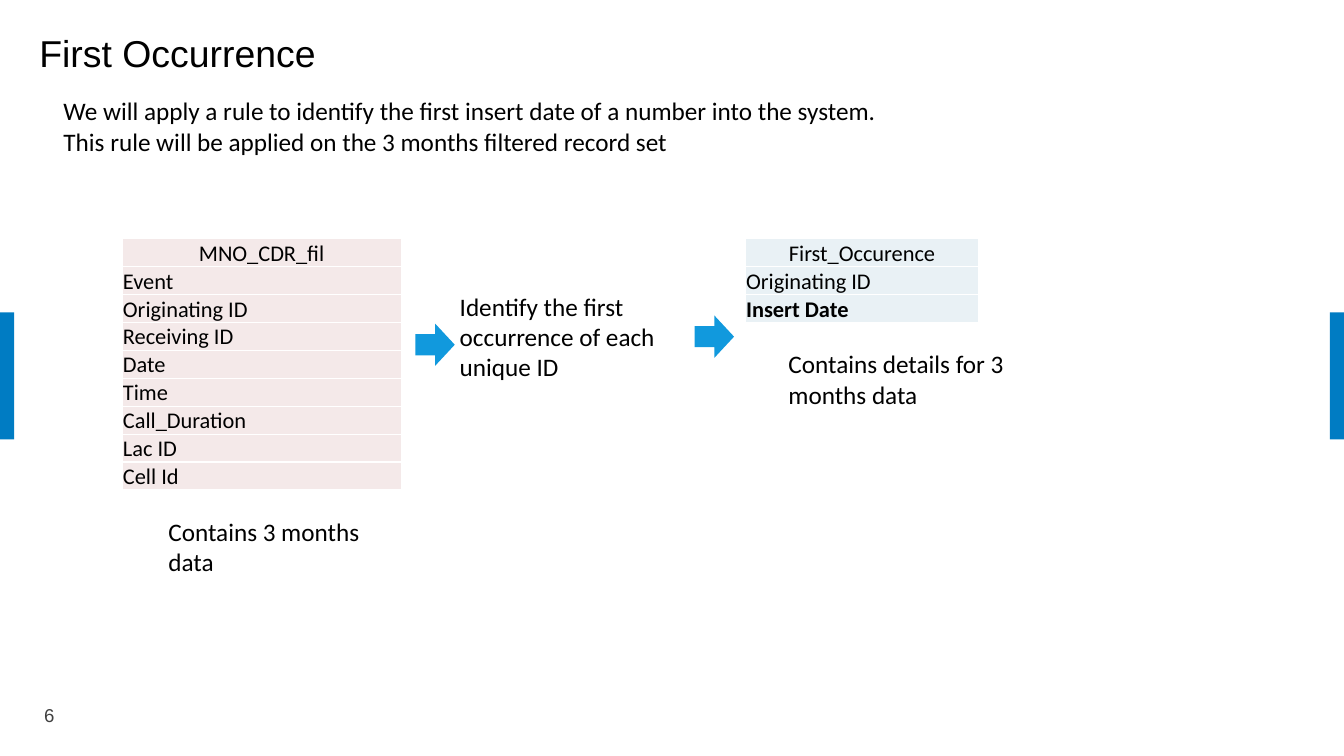
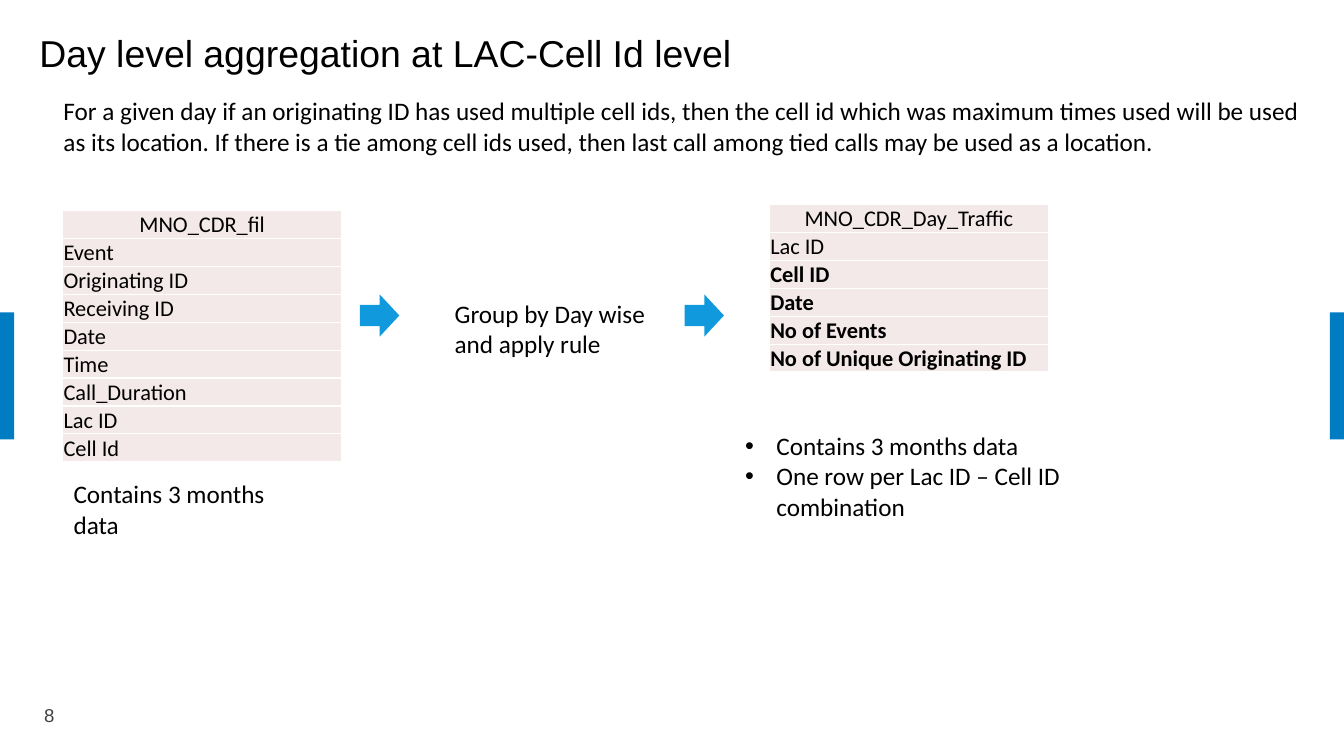
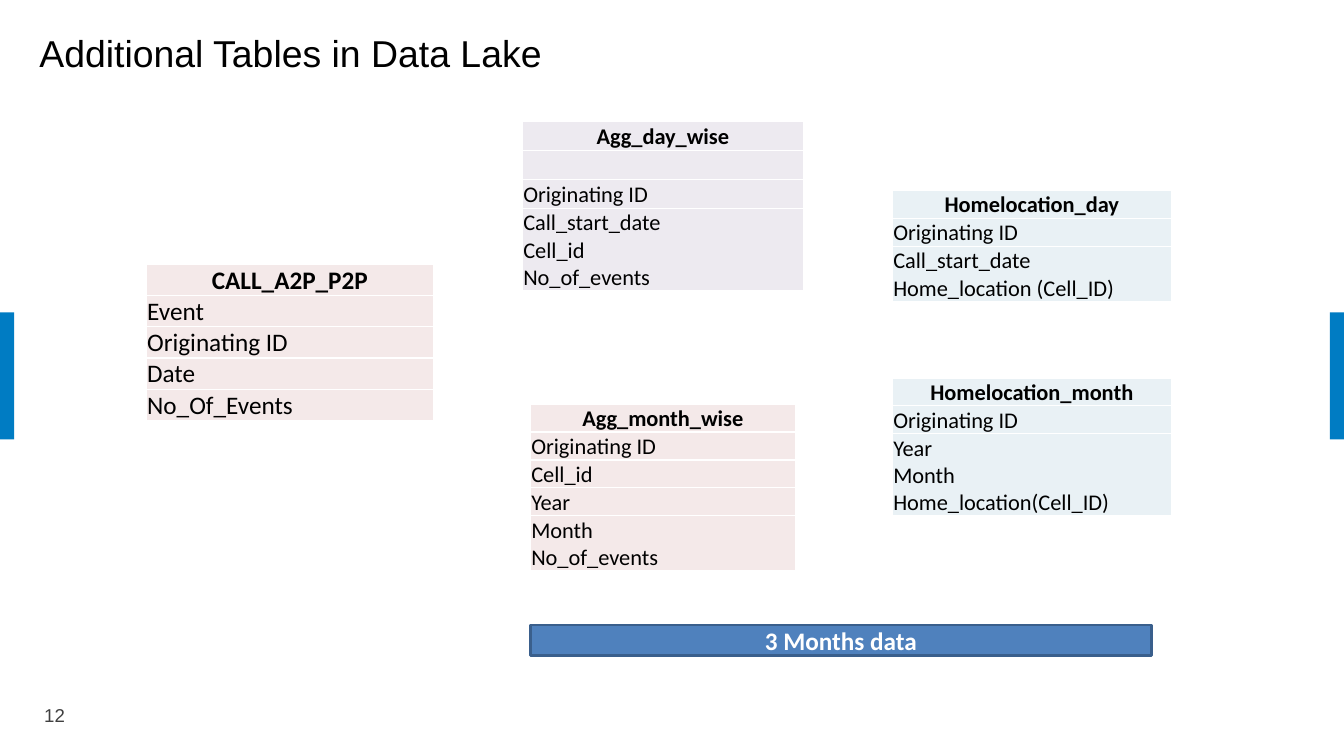
from dataclasses import dataclass
from lxml.etree import SubElement
from pptx import Presentation
from pptx.dml.color import RGBColor
from pptx.enum.shapes import MSO_SHAPE
from pptx.enum.text import MSO_ANCHOR, MSO_AUTO_SIZE, PP_ALIGN
from pptx.oxml import parse_xml
from pptx.oxml.ns import nsdecls, qn
from pptx.util import Inches, Pt


@dataclass(frozen=True)
class Theme:
    head: str = "Arial"
    body: str = "Calibri"
    black: str = "000000"
    white: str = "FFFFFF"
    gray: str = "404040"
    side: str = "007CC3"
    arrow: str = "1199DD"
    band: str = "4F81BD"
    edge: str = "3A5F8C"
    rose: str = "F4E9E9"
    mist: str = "E9F1F5"
    lilac: str = "EDEAF0"
    title: float = 26.7
    text: float = 18
    cell: float = 16
    page: float = 13.3
    line: float = 0.017
    inset: float = 0.05
    pad: float = 0.01


T = Theme()
CDR = ["MNO_CDR_fil", "Event", "Originating ID", "Receiving ID", "Date", "Time",
       "Call_Duration", "Lac ID", "Cell Id"]


def tint(name):
    return RGBColor.from_string(name)


def box(x, y, w, h):
    return [Inches(n) for n in (x, y, w, h)]


def say(par, text, size=T.text, font=T.body, color=T.black, bold=False):
    run = par.add_run()
    run.text = text
    run.font.size = Pt(size)
    run.font.name = font
    run.font.bold = bold
    run.font.color.rgb = tint(color)


def lines(frame, texts):
    for i, text in enumerate(texts):
        par = frame.add_paragraph() if i else frame.paragraphs[0]
        yield par, text


def pad(frame, inset):
    frame.margin_left = frame.margin_right = Inches(inset)
    frame.margin_top = frame.margin_bottom = Inches(inset)


def form(slide, kind, place, fill, edge=None):
    shape = slide.shapes.add_shape(kind, *box(*place))
    shape.shadow.inherit = False
    shape.fill.solid()
    shape.fill.fore_color.rgb = tint(fill)
    if edge:
        shape.line.color.rgb = tint(edge)
        shape.line.width = Pt(2)
    else:
        shape.line.fill.background()
    return shape


def arrow(slide, x, y):
    form(slide, MSO_SHAPE.RIGHT_ARROW, (x, y, 0.39, 0.42), T.arrow)


def bullet(par):
    props = par._p.get_or_add_pPr()
    props.set("marL", str(Inches(0.31)))
    props.set("indent", str(-Inches(0.31)))
    SubElement(props, qn("a:buFont"), typeface="Arial")
    SubElement(props, qn("a:buChar"), char="•")


def note(slide, place, *texts, dots=False):
    frame = slide.shapes.add_textbox(*box(*place)).text_frame
    frame.word_wrap = True
    pad(frame, T.inset)
    for par, text in lines(frame, texts):
        if dots:
            bullet(par)
        say(par, text)


def border(cell):
    props = cell._tc.get_or_add_tcPr()
    for i, side in enumerate(("lnL", "lnR", "lnT", "lnB")):
        props.insert(i, parse_xml(
            f'<a:{side} {nsdecls("a")} w="{Pt(1)}"><a:solidFill>'
            f'<a:srgbClr val="{T.white}"/></a:solidFill></a:{side}>'))


def table(slide, x, y, w, rows, fill, bold=(), size=T.cell, least=0):
    highs = [max(least, size * T.line * len(row.split("\n"))) for row in rows]
    grid = slide.shapes.add_table(len(rows), 1, *box(x, y, w, sum(highs))).table
    grid.first_row = grid.horz_banding = False
    for i, row in enumerate(rows):
        grid.rows[i].height = Inches(highs[i])
        cell = grid.cell(i, 0)
        cell.fill.solid()
        cell.fill.fore_color.rgb = tint(fill)
        border(cell)
        cell.vertical_anchor = MSO_ANCHOR.BOTTOM
        cell.margin_left = cell.margin_right = cell.margin_top = Inches(T.pad)
        cell.margin_bottom = 0
        for par, text in lines(cell.text_frame, row.split("\n")):
            par.alignment = PP_ALIGN.LEFT if i else PP_ALIGN.CENTER
            if text:
                say(par, text, size, bold=i in bold)
            else:
                par._p.get_or_add_endParaRPr().set("sz", str(int(size * 100)))


def start(deck, title, page):
    slide = deck.slides.add_slide(deck.slide_layouts[5])
    for x in (0, 13.19):
        form(slide, MSO_SHAPE.RECTANGLE, (x, 3.1, 0.14, 1.26), T.side)
    head = slide.shapes.title
    head.left, head.top, head.width, head.height = box(0.29, 0.22, 12.72, 0.66)
    frame = head.text_frame
    frame.auto_size = MSO_AUTO_SIZE.NONE
    frame.vertical_anchor = MSO_ANCHOR.MIDDLE
    par = frame.paragraphs[0]
    par.alignment = PP_ALIGN.LEFT
    par.line_spacing = 0.9
    say(par, title, T.title, T.head)
    foot = slide.shapes.add_textbox(*box(0.34, 6.93, 0.68, 0.41)).text_frame
    foot.word_wrap = True
    say(foot.paragraphs[0], page, T.page, T.head, T.gray)
    return slide


def first(deck):
    slide = start(deck, "First Occurrence", "6")
    note(slide, (0.58, 0.9, 12.43, 0.71),
         "We will apply a rule to identify the first insert date of a number into the system.",
         "This rule will be applied on the 3 months filtered record set")
    table(slide, 1.21, 2.37, 2.77, CDR, T.rose)
    table(slide, 7.39, 2.37, 2.32, ["First_Occurence", "Originating ID", "Insert Date"],
          T.mist, bold=(2,))
    note(slide, (1.62, 5.07, 2.36, 0.71), "Contains 3 months data")
    note(slide, (7.77, 3.41, 2.36, 0.71), "Contains details for 3 months data")
    note(slide, (4.51, 2.84, 2.36, 1.01), "Identify the first occurrence of each unique ID")
    arrow(slide, 4.12, 3.21)
    arrow(slide, 6.89, 3.13)


def daily(deck):
    slide = start(deck, "Day level aggregation at LAC-Cell Id level", "8")
    note(slide, (0.58, 0.9, 12.43, 0.71),
         "For a given day if an originating ID has used multiple cell ids, then the cell id "
         "which was maximum times used will be used as its location. If there is a tie among "
         "cell ids used, then last call among tied calls may be used as a location.")
    table(slide, 0.62, 2.09, 2.77, CDR, T.rose)
    note(slide, (0.68, 4.7, 2.36, 0.71), "Contains 3 months data")
    note(slide, (4.46, 2.91, 2.36, 0.71), "Group by Day wise and apply rule")
    for x in (3.57, 6.79):
        arrow(slide, x, 2.92)
    table(slide, 7.63, 2.03, 2.77,
          ["MNO_CDR_Day_Traffic", "Lac ID", "Cell ID", "Date", "No of Events",
           "No of Unique Originating ID"], T.rose, bold=range(2, 6))
    note(slide, (7.34, 4.22, 3.75, 1.01), "Contains 3 months data",
         "One row per Lac ID – Cell ID combination", dots=True)


def extra(deck):
    slide = start(deck, "Additional Tables in Data Lake", "12")
    table(slide, 1.45, 2.62, 2.85,
          ["CALL_A2P_P2P", "Event", "Originating ID", "Date", "No_Of_Events"],
          T.rose, bold=(0,), size=T.text)
    table(slide, 5.18, 1.2, 2.79,
          ["Agg_day_wise", "", "Originating ID", "Call_start_date\nCell_id\nNo_of_events"],
          T.lilac, bold=(0,), least=0.29)
    table(slide, 8.85, 1.89, 2.77,
          ["Homelocation_day", "Originating ID", "Call_start_date\nHome_location (Cell_ID)"],
          T.mist, bold=(0,))
    table(slide, 5.26, 4.01, 2.63,
          ["Agg_month_wise", "Originating ID", "Cell_id", "Year", "Month\nNo_of_events"],
          T.rose, bold=(0,))
    table(slide, 8.85, 3.75, 2.77,
          ["Homelocation_month", "Originating ID", "Year\nMonth\nHome_location(Cell_ID)"],
          T.mist, bold=(0,))
    band = form(slide, MSO_SHAPE.RECTANGLE, (5.26, 6.2, 6.16, 0.3), T.band, T.edge)
    frame = band.text_frame
    pad(frame, T.inset)
    frame.vertical_anchor = MSO_ANCHOR.MIDDLE
    frame.paragraphs[0].alignment = PP_ALIGN.CENTER
    say(frame.paragraphs[0], "3 Months data", color=T.white, bold=True)


def main():
    deck = Presentation()
    deck.slide_width, deck.slide_height = Inches(13.33), Inches(7.5)
    for build in (first, daily, extra):
        build(deck)
    deck.save("out.pptx")


if __name__ == "__main__":
    main()
